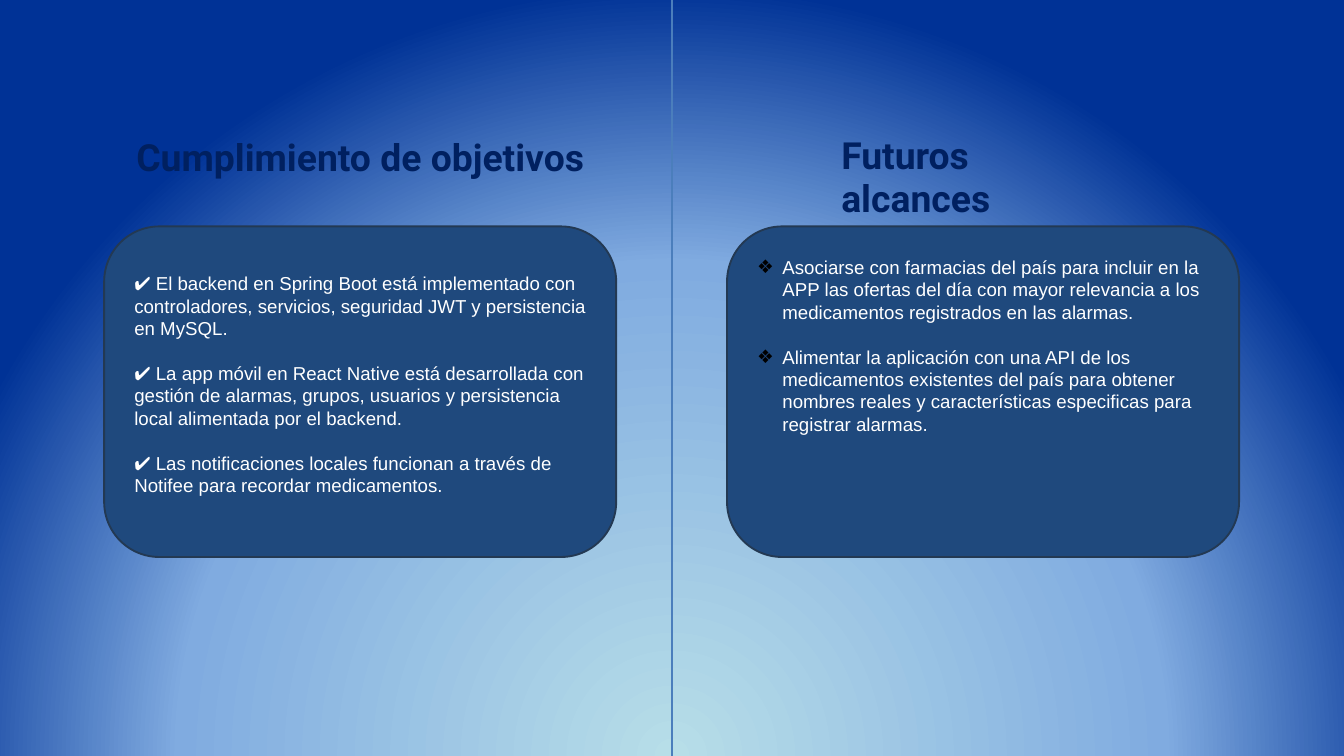
from lxml import etree
from pptx import Presentation
from pptx.dml.color import RGBColor
from pptx.enum.shapes import MSO_CONNECTOR, MSO_SHAPE
from pptx.enum.text import MSO_AUTO_SIZE
from pptx.oxml import parse_xml
from pptx.oxml.ns import nsdecls, qn
from pptx.util import Pt

ROUND = MSO_SHAPE.ROUNDED_RECTANGLE
LINE = MSO_CONNECTOR.STRAIGHT
GROW = MSO_AUTO_SIZE.SHAPE_TO_FIT_TEXT

WIDE, HIGH = 1440, 810
CARD_TOP, CARD_W, CARD_H = 242.6, 548.6, 354.2
COLORS = {
    "card": "1F497D", "edge": "233953", "rule": "4B7EBC",
    "head": "002060", "body": "FFFFFF", "mark": "000000",
}
STOPS = [(0, "B7DEE8"), (64, "80ABE0"), (100, "003296")]

GOALS = [
    "✔ El backend en Spring Boot está implementado con controladores, "
    "servicios, seguridad JWT y persistencia en MySQL.",
    "✔ La app móvil en React Native está desarrollada con gestión de alarmas, "
    "grupos, usuarios y persistencia local alimentada por el backend.",
    "✔ Las notificaciones locales funcionan a través de Notifee para recordar "
    "medicamentos.",
]
PLANS = [
    "Asociarse con farmacias del país para incluir en la APP las ofertas del "
    "día con mayor relevancia a los medicamentos registrados en las alarmas.",
    "Alimentar la aplicación con una API de los medicamentos existentes del "
    "país para obtener nombres reales y características especificas para "
    "registrar alarmas.",
]


def rgb(name):
    return RGBColor.from_string(COLORS[name])


def add_mark(para, mark):
    """Give a paragraph a hanging bullet."""
    props = para._p.get_or_add_pPr()
    props.set("marL", str(Pt(27)))
    props.set("indent", str(-Pt(27)))
    tint = etree.SubElement(props, qn("a:buClr"))
    etree.SubElement(tint, qn("a:srgbClr")).set("val", COLORS["mark"])
    etree.SubElement(props, qn("a:buFont")).set("typeface", "Arial")
    etree.SubElement(props, qn("a:buChar")).set("char", mark)


def add_text(slide, box, lines, size=20, font="Arial", color="body",
             bold=False, mark=None, gap=0, inset=None, pitch=None):
    shape = slide.shapes.add_textbox(*map(Pt, box))
    frame = shape.text_frame
    frame.word_wrap = True
    frame.auto_size = GROW
    if inset is not None:
        frame.margin_left = frame.margin_right = Pt(inset)
        frame.margin_top = frame.margin_bottom = Pt(inset)
    for i, line in enumerate(lines):
        para = frame.paragraphs[0] if i == 0 else frame.add_paragraph()
        if pitch:
            para.line_spacing = pitch
        if i and gap:
            para.space_before = Pt(gap)
        if mark:
            add_mark(para, mark)
        run = para.add_run()
        run.text = line
        run.font.size = Pt(size)
        run.font.name = font
        run.font.bold = bold
        run.font.color.rgb = rgb(color)


def add_glow(slide):
    """Fill the background with a radial gradient centred below the slide."""
    stops = "".join(
        f'<a:gs pos="{pos * 1000}"><a:srgbClr val="{tint}"/></a:gs>'
        for pos, tint in STOPS)
    back = parse_xml(
        f'<p:bg {nsdecls("p", "a")}><p:bgPr><a:gradFill rotWithShape="1">'
        f'<a:gsLst>{stops}</a:gsLst><a:path path="circle">'
        '<a:fillToRect l="50000" t="130000" r="50000" b="-30000"/></a:path>'
        '</a:gradFill><a:effectLst/></p:bgPr></p:bg>')
    slide.element.find(qn("p:cSld")).insert(0, back)


def add_rule(slide, x):
    rule = slide.shapes.add_connector(LINE, Pt(x), Pt(0), Pt(x), Pt(HIGH))
    rule.line.color.rgb = rgb("rule")
    rule.line.width = Pt(2.25)
    etree.SubElement(rule._element.spPr, qn("a:effectLst"))


def add_panel(slide, box, title, place, lines, drop, **form):
    """Draw a card with its heading above; place is relative to the card."""
    x, y, w, h = box
    card = slide.shapes.add_shape(ROUND, *map(Pt, box))
    card.shadow.inherit = False
    card.fill.solid()
    card.fill.fore_color.rgb = rgb("card")
    card.line.color.rgb = rgb("edge")
    card.line.width = Pt(2)
    dx, dy, wide, high = place
    add_text(slide, (x + dx, y + dy, wide, high), [title], size=40,
             font="Roboto", color="head", bold=True, **form.pop("head", {}))
    add_text(slide, (x + 25.2, y + drop, w - 49.6, h - 2 * drop), lines,
             gap=24, **form)


def main():
    deck = Presentation()
    deck.slide_width, deck.slide_height = Pt(WIDE), Pt(HIGH)
    slide = deck.slides.add_slide(deck.slide_layouts[6])
    add_glow(slide)
    add_rule(slide, WIDE / 2)
    add_panel(slide, (111.6, CARD_TOP, CARD_W, CARD_H),
              "Cumplimiento de objetivos", (27.4, -102.2, 494.6, 55.4),
              GOALS, 45.4)
    add_panel(slide, (779, CARD_TOP, CARD_W, CARD_H),
              "Futuros alcances", (122.4, -97.2, 304.6, 46),
              PLANS, 28, mark="❖", head={"inset": 0, "pitch": 0.95})
    deck.save("out.pptx")


if __name__ == "__main__":
    main()
